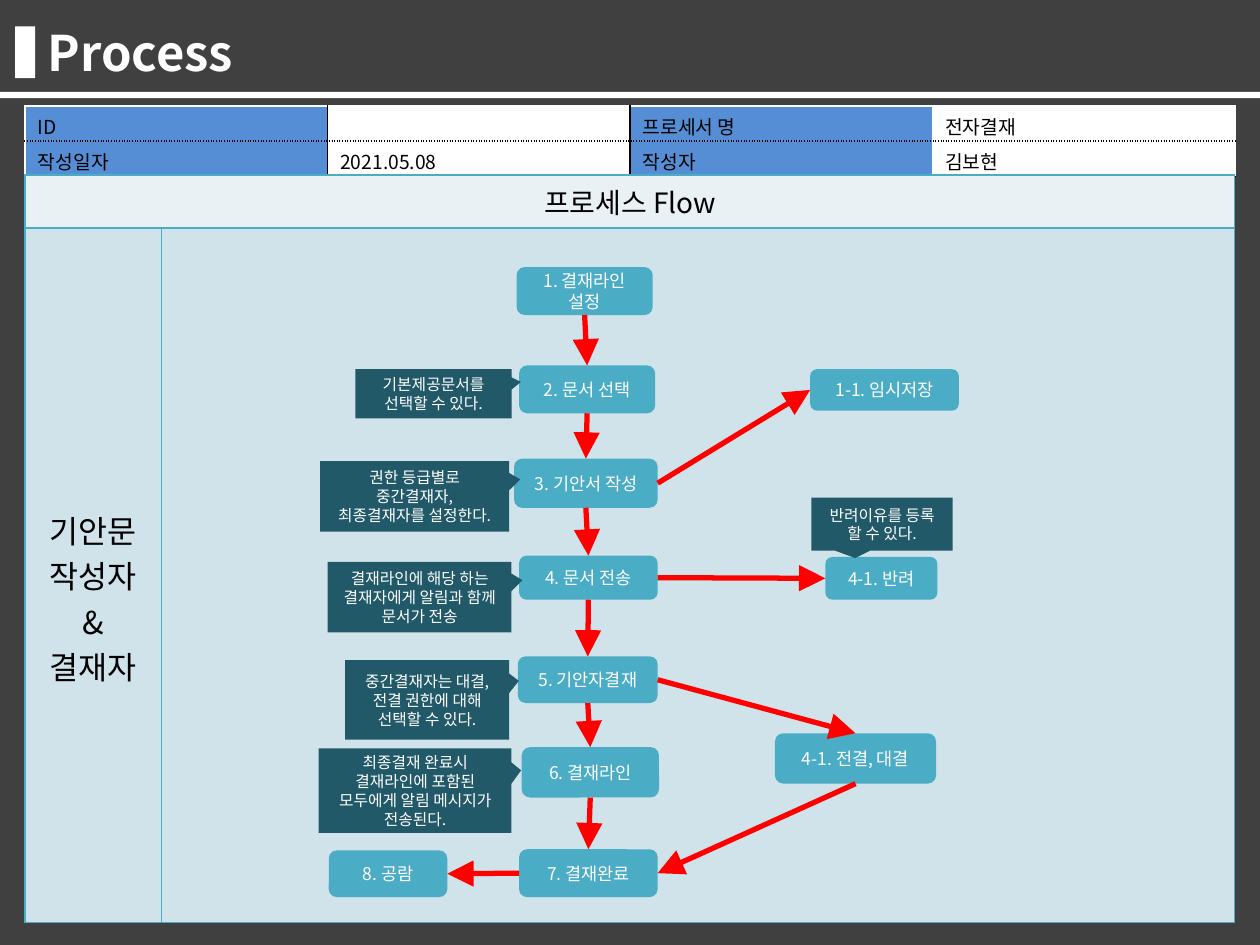
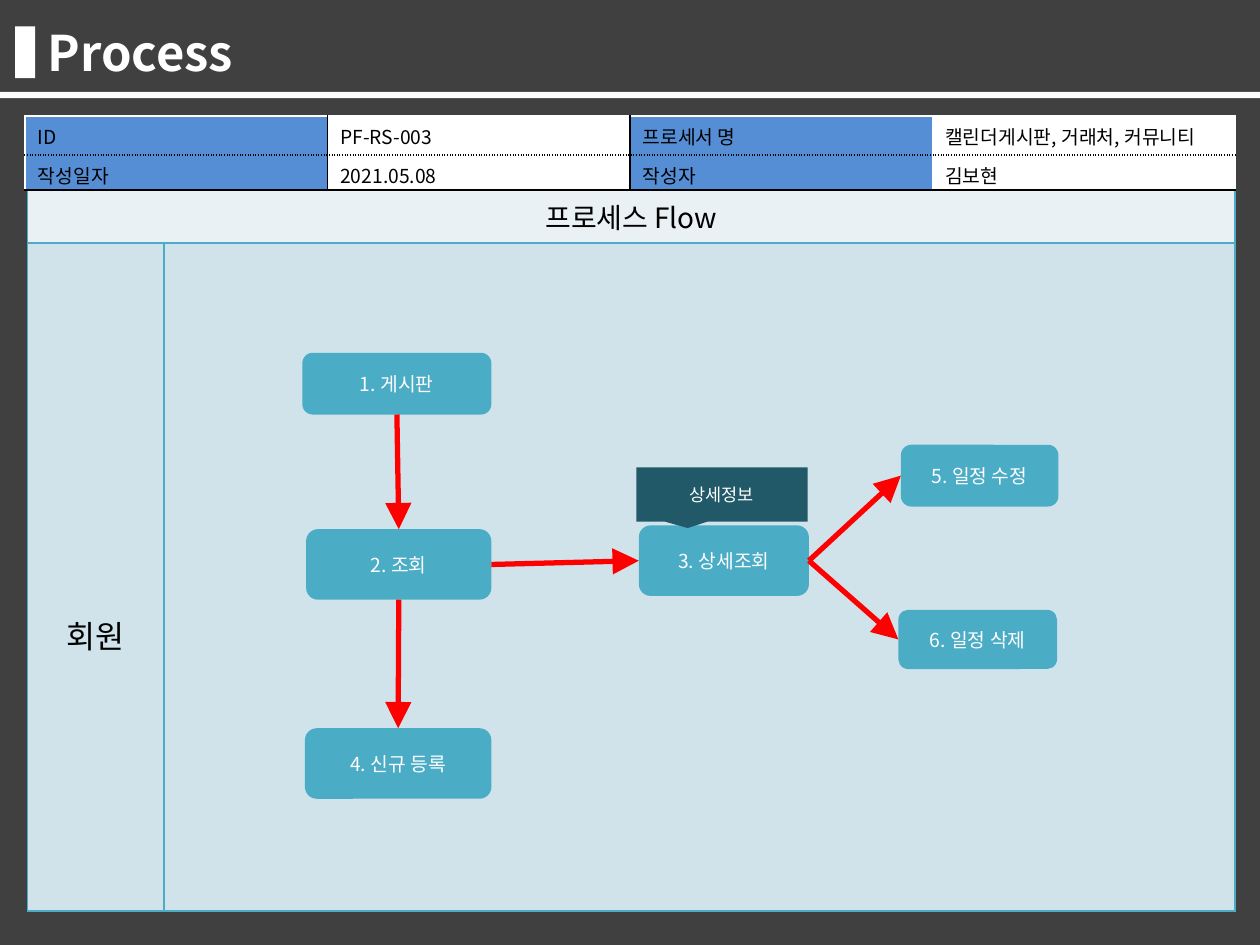
from dataclasses import dataclass

from lxml import etree
from pptx import Presentation
from pptx import util as u
from pptx.dml.color import RGBColor
from pptx.enum import shapes, text
from pptx.oxml import ns

FONT = "Noto Sans CJK KR"
COLORS = {
    "backdrop": "404040",
    "white": "FFFFFF",
    "black": "000000",
    "label": "558ED5",
    "step": "4BACC6",
    "note": "215968",
    "arrow": "FF0000",
    "flow_title": "E9F1F5",
    "flow_body": "D0E3EA",
}
TOP, LEFT, BOTTOM, RIGHT = range(4)
CELL_MARGIN = 0.05
FIELD_SIZE = 11
ROLE_LINE = 0.36


@dataclass(frozen=True)
class Box:
    left: float
    top: float
    width: float
    height: float

    def lengths(self) -> list[u.Length]:
        return [u.Inches(v) for v in (self.left, self.top, self.width, self.height)]


@dataclass(frozen=True)
class Step:
    key: str
    label: str
    box: Box


@dataclass(frozen=True)
class Note:
    label: str
    box: Box
    pointer: tuple[float, float] = (0.56, -0.24)


@dataclass(frozen=True)
class Link:
    source: str
    exit: int
    target: str
    entry: int


@dataclass(frozen=True)
class Process:
    fields: list[list[str]]
    fields_box: Box
    field_rows: list[float]
    roles: list[str]
    role_offset: int
    flow_box: Box
    steps: list[Step]
    step_size: int
    notes: list[Note]
    note_size: int
    links: list[Link]
    fields_in_front: bool = False


def rgb(name: str) -> RGBColor:
    return RGBColor.from_string(COLORS[name])


def paint(fill, name: str) -> None:
    fill.solid()
    fill.fore_color.rgb = rgb(name)


def write(paragraph, words: str, size: int, color: str, bold: bool = False) -> None:
    run = paragraph.add_run()
    run.text = words
    run.font.size = u.Pt(size)
    run.font.bold = bold
    run.font.color.rgb = rgb(color)
    run.font.name = FONT
    etree.SubElement(run.font._element, ns.qn("a:ea"), typeface=FONT)


def add_block(slide, kind, box: Box, color: str):
    block = slide.shapes.add_shape(kind, *box.lengths())
    block.shadow.inherit = False
    paint(block.fill, color)
    block.line.fill.background()
    return block


def add_labelled(slide, kind, box: Box, color: str, label: str, size: int):
    block = add_block(slide, kind, box, color)
    frame = block.text_frame
    frame.word_wrap = True
    frame.vertical_anchor = text.MSO_ANCHOR.MIDDLE
    frame.paragraphs[0].alignment = text.PP_ALIGN.CENTER
    write(frame.paragraphs[0], label, size, "white")
    return block


def add_heading(slide) -> None:
    paint(slide.background.fill, "backdrop")
    title = slide.shapes.title
    title.left, title.top, title.width, title.height = Box(0.28, 0.13, 8.98, 0.57).lengths()
    frame = title.text_frame
    frame.auto_size = text.MSO_AUTO_SIZE.NONE
    frame.vertical_anchor = text.MSO_ANCHOR.MIDDLE
    frame.paragraphs[0].alignment = text.PP_ALIGN.LEFT
    write(frame.paragraphs[0], "Process", 28, "white", bold=True)
    for bar in (Box(0.12, 0.21, 0.16, 0.41), Box(0, 0.73, 10, 0.05)):
        add_block(slide, shapes.MSO_SHAPE.RECTANGLE, bar, "white")


def style_cell(cell, fill: str, borders: dict[str, tuple[str, str]]) -> None:
    paint(cell.fill, fill)
    properties = cell._tc.get_or_add_tcPr()
    for index, side in enumerate("LRTB"):
        color, dash = borders[side]
        line = etree.Element(ns.qn(f"a:ln{side}"), w=str(u.Pt(1)))
        solid = etree.SubElement(line, ns.qn("a:solidFill"))
        etree.SubElement(solid, ns.qn("a:srgbClr"), val=COLORS[color])
        etree.SubElement(line, ns.qn("a:prstDash"), val=dash)
        properties.insert(index, line)


def add_grid(slide, box: Box, columns: list[float], rows: list[float]):
    grid = slide.shapes.add_table(len(rows), len(columns), *box.lengths()).table
    grid.first_row = grid.horz_banding = False
    for column, width in zip(grid.columns, columns):
        column.width = u.Inches(width)
    for row, height in zip(grid.rows, rows):
        row.height = u.Inches(height)
    return grid


def add_fields(slide, process: Process) -> None:
    box = process.fields_box
    grid = add_grid(slide, box, [box.width / 4] * 4, process.field_rows)
    divider = ("black", "sysDot")
    for r, values in enumerate(process.fields):
        for c, value in enumerate(values):
            cell = grid.cell(r, c)
            style_cell(cell, "white" if c % 2 else "label", {
                "L": ("white" if c in (0, 3) else "black", "solid"),
                "R": ("white" if c >= 2 else "black", "solid"),
                "T": divider if r else ("white", "solid"),
                "B": ("black", "solid") if r else divider,
            })
            cell.margin_top, cell.margin_bottom = u.Inches(CELL_MARGIN), 0
            paragraph = cell.text_frame.paragraphs[0]
            if value:
                write(paragraph, value, FIELD_SIZE, "black")
            else:
                etree.SubElement(paragraph._p, ns.qn("a:endParaRPr"),
                                 sz=str(FIELD_SIZE * 100))


def add_flow(slide, process: Process) -> None:
    box = process.flow_box
    role_width, title_height = 1.08, 0.42
    grid = add_grid(slide, box, [role_width, box.width - role_width],
                    [title_height, box.height - title_height])
    borders = dict.fromkeys("LRTB", ("step", "solid"))
    for r, fill in enumerate(("flow_title", "flow_body")):
        for c in range(2):
            style_cell(grid.cell(r, c), fill, borders)
    heading, role_cell = grid.cell(0, 0), grid.cell(1, 0)
    heading.merge(grid.cell(0, 1))
    heading.text_frame.paragraphs[0].alignment = text.PP_ALIGN.CENTER
    write(heading.text_frame.paragraphs[0], "프로세스 Flow", 16, "black")
    role_cell.margin_top = u.Inches(CELL_MARGIN + process.role_offset * ROLE_LINE)
    frame = role_cell.text_frame
    for i, role in enumerate(process.roles):
        paragraph = frame.add_paragraph() if i else frame.paragraphs[0]
        paragraph.alignment = text.PP_ALIGN.CENTER
        write(paragraph, role, 18, "black")


def add_link(slide, link: Link, placed: dict) -> None:
    arrow = slide.shapes.add_connector(shapes.MSO_CONNECTOR.STRAIGHT, 0, 0, 0, 0)
    arrow.begin_connect(placed[link.source], link.exit)
    arrow.end_connect(placed[link.target], link.entry)
    arrow.line.color.rgb = rgb("arrow")
    arrow.line.width = u.Pt(3)
    etree.SubElement(arrow.line._get_or_add_ln(), ns.qn("a:tailEnd"),
                     type="triangle", w="lg", len="lg")
    etree.SubElement(arrow._element.spPr, ns.qn("a:effectLst"))


def add_process(deck, process: Process) -> None:
    slide = deck.slides.add_slide(deck.slide_layouts[5])
    add_heading(slide)
    tables = [add_fields, add_flow]
    for add in reversed(tables) if process.fields_in_front else tables:
        add(slide, process)
    placed = {
        step.key: add_labelled(slide, shapes.MSO_SHAPE.ROUNDED_RECTANGLE, step.box,
                               "step", step.label, process.step_size)
        for step in process.steps
    }
    for note in process.notes:
        callout = add_labelled(slide, shapes.MSO_SHAPE.RECTANGULAR_CALLOUT, note.box,
                               "note", note.label, process.note_size)
        callout.adjustments[0], callout.adjustments[1] = note.pointer
    for link in process.links:
        add_link(slide, link, placed)


def fields(process_id: str, name: str) -> list[list[str]]:
    return [["ID", process_id, "프로세서 명", name],
            ["작성일자", "2021.05.08", "작성자", "김보현"]]


APPROVAL_CHAIN = ["line", "document", "draft", "send", "sign", "route", "done"]
APPROVAL = Process(
    fields=fields("", "전자결재"),
    fields_box=Box(0.2, 0.84, 9.6, 0.56),
    field_rows=[0.28, 0.28],
    roles=["기안문", "작성자 &", "결재자"],
    role_offset=6,
    flow_box=Box(0.2, 1.39, 9.6, 5.93),
    steps=[
        Step("line", "1. 결재라인 설정", Box(4.1, 2.12, 1.08, 0.38)),
        Step("document", "2. 문서 선택", Box(4.12, 2.9, 1.08, 0.38)),
        Step("draft", "3. 기안서 작성", Box(4.08, 3.64, 1.14, 0.39)),
        Step("send", "4. 문서 전송", Box(4.12, 4.41, 1.1, 0.35)),
        Step("sign", "5. 기안자결재", Box(4.11, 5.21, 1.11, 0.37)),
        Step("route", "6. 결재라인", Box(4.14, 5.93, 1.09, 0.4)),
        Step("done", "7. 결재완료", Box(4.12, 6.74, 1.1, 0.38)),
        Step("share", "8. 공람", Box(2.61, 6.75, 0.94, 0.37)),
        Step("save", "1-1. 임시저장", Box(6.43, 2.93, 1.18, 0.33)),
        Step("reject", "4-1. 반려", Box(6.55, 4.42, 0.89, 0.34)),
        Step("delegate", "4-1. 전결, 대결", Box(6.15, 5.82, 1.28, 0.4)),
    ],
    step_size=10,
    notes=[
        Note("기본제공문서를 선택할 수 있다.", Box(2.82, 2.93, 1.24, 0.39)),
        Note("권한 등급별로 중간결재자, 최종결재자를 설정한다.", Box(2.54, 3.66, 1.5, 0.56)),
        Note("결재라인에 해당 하는 결재자에게 알림과 함께 문서가 전송",
             Box(2.6, 4.46, 1.46, 0.56)),
        Note("중간결재자는 대결, 전결 권한에 대해 선택할 수 있다.", Box(2.74, 5.24, 1.3, 0.63)),
        Note("최종결재 완료시 결재라인에 포함된 모두에게 알림 메시지가 전송된다.",
             Box(2.53, 5.94, 1.53, 0.67), (0.55, -0.24)),
        Note("반려이유를 등록 할 수 있다.", Box(6.44, 3.95, 1.12, 0.42), (-0.19, 0.64)),
    ],
    note_size=9,
    links=[Link(a, BOTTOM, b, TOP) for a, b in zip(APPROVAL_CHAIN, APPROVAL_CHAIN[1:])] + [
        Link("draft", RIGHT, "save", LEFT),
        Link("send", RIGHT, "reject", LEFT),
        Link("sign", RIGHT, "delegate", TOP),
        Link("delegate", BOTTOM, "done", RIGHT),
        Link("done", LEFT, "share", RIGHT),
    ],
)

BOARD = Process(
    fields=fields("PF-RS-003", "캘린더게시판, 거래처, 커뮤니티"),
    fields_box=Box(0.2, 0.92, 9.6, 0.59),
    field_rows=[0.31, 0.28],
    roles=["회원"],
    role_offset=8,
    flow_box=Box(0.22, 1.51, 9.58, 5.72),
    steps=[
        Step("board", "1. 게시판", Box(2.4, 2.8, 1.5, 0.49)),
        Step("search", "2. 조회", Box(2.43, 4.2, 1.47, 0.56)),
        Step("detail", "3. 상세조회", Box(5.07, 4.17, 1.35, 0.56)),
        Step("create", "4. 신규 등록", Box(2.42, 5.78, 1.48, 0.56)),
        Step("edit", "5. 일정 수정", Box(7.15, 3.53, 1.25, 0.49)),
        Step("delete", "6. 일정 삭제", Box(7.13, 4.84, 1.26, 0.47)),
    ],
    step_size=11,
    notes=[Note("상세정보", Box(5.05, 3.71, 1.36, 0.43), (-0.2, 0.62))],
    note_size=10,
    links=[
        Link("board", BOTTOM, "search", TOP),
        Link("search", BOTTOM, "create", TOP),
        Link("search", RIGHT, "detail", LEFT),
        Link("detail", RIGHT, "edit", LEFT),
        Link("detail", RIGHT, "delete", LEFT),
    ],
    fields_in_front=True,
)


def main() -> None:
    deck = Presentation()
    deck.slide_width, deck.slide_height = u.Inches(10), u.Inches(7.5)
    for process in (APPROVAL, BOARD):
        add_process(deck, process)
    deck.save("out.pptx")


if __name__ == "__main__":
    main()
